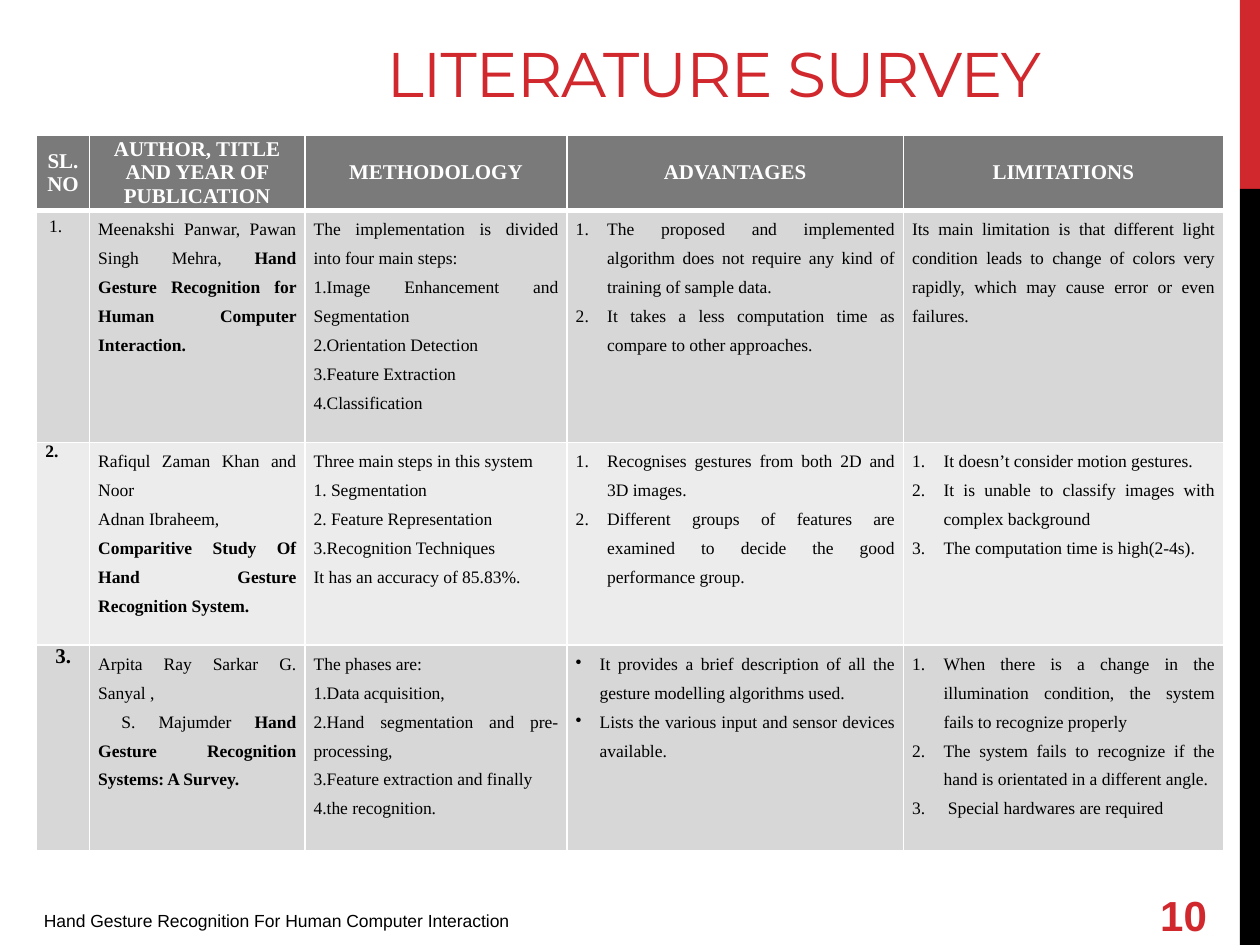
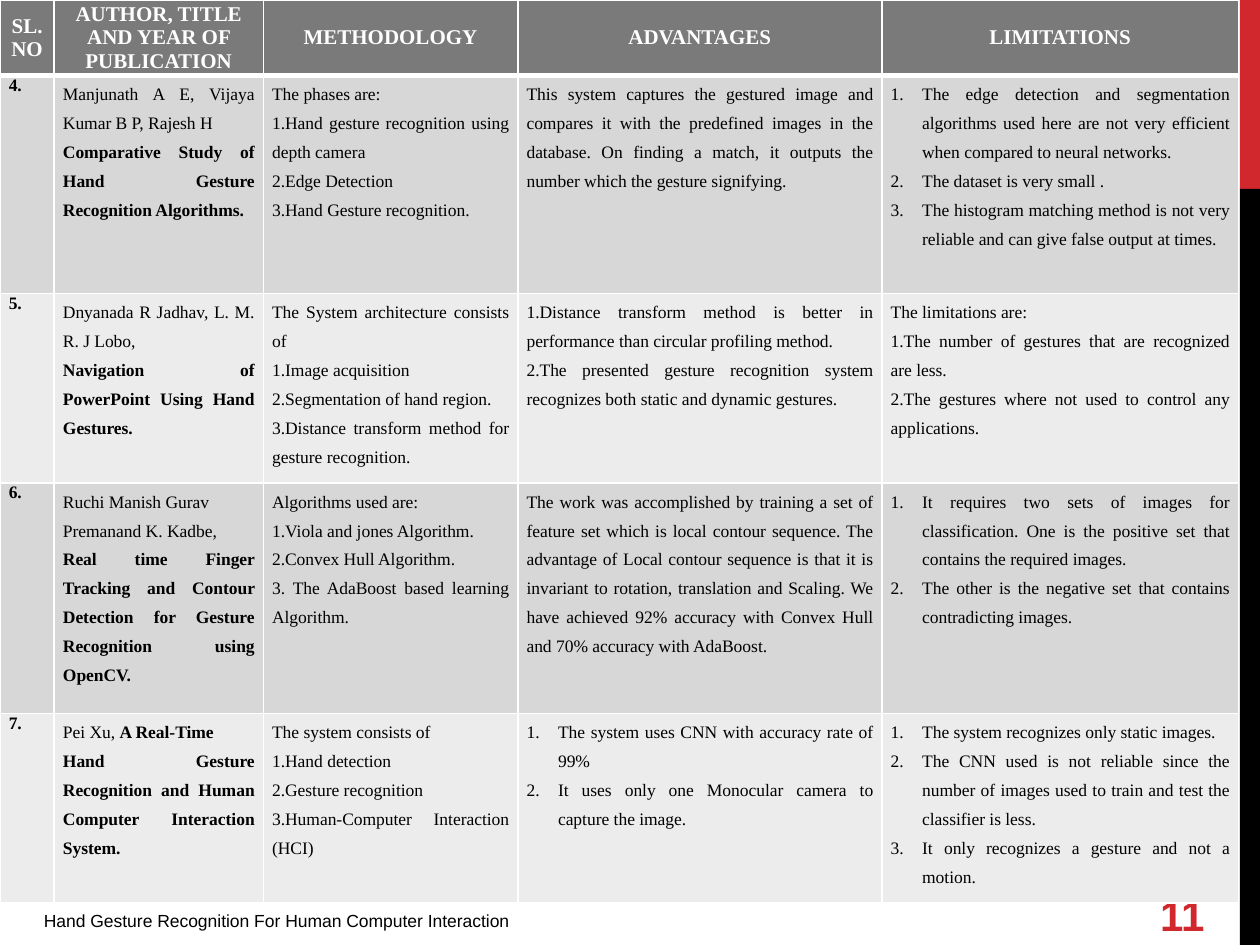
from dataclasses import dataclass

from lxml.etree import SubElement
from pptx import Presentation
from pptx.dml.color import RGBColor as Rgb
from pptx.enum.shapes import MSO_SHAPE as Shape
from pptx.enum.text import MSO_ANCHOR as Anchor, PP_ALIGN as Align
from pptx.oxml.ns import qn
from pptx.util import Inches, Pt


@dataclass(frozen=True)
class Theme:
    """Colours, fonts and type sizes shared by the slides."""
    red: str = "D1282E"
    black: str = "000000"
    white: str = "FFFFFF"
    heading_fill: str = "7A7A7A"
    row_fills: tuple = ("D7D7D7", "ECECEC")
    title_font: str = "Montserrat"
    table_font: str = "Times New Roman"
    footer_font: str = "Arial"
    title_size: int = 36
    page_size: int = 24
    heading_size: int = 12
    body_size: int = 10
    rule: int = 1
    heading_rule: int = 3


@dataclass(frozen=True)
class Box:
    """A region measured in columns and rows of the 1000 by 750 slide grid."""
    col: float
    row: float
    cols: float
    rows: float

    def inner(self, col, row, cols, rows):
        """Return a region placed relative to this one."""
        return Box(self.col + col, self.row + row, cols, rows)

    def emu(self):
        """Return left, top, width and height as slide lengths."""
        return [Inches(units / GRID) for units in (self.col, self.row, self.cols, self.rows)]


@dataclass(frozen=True)
class Points:
    """Lines of one cell with the kind of list marker they carry."""
    lines: tuple
    marker: str = ""


@dataclass(frozen=True)
class Study:
    """One surveyed paper; text after a bar in the author lines is bold."""
    number: str
    author: Points
    method: Points
    advantages: Points
    limits: Points


THEME = Theme()
GRID = 100
SLIDE = Box(0, 0, 1000, 750)
TOPIC = "Hand Gesture Recognition For Human Computer Interaction"
HEADINGS = ("SL.NO", "AUTHOR, TITLE AND YEAR OF PUBLICATION", "METHODOLOGY",
            "ADVANTAGES", "LIMITATIONS")
MARKERS = {
    "numbered": ("a:buAutoNum", {"type": "arabicPeriod"}, 0.25),
    "bulleted": ("a:buChar", {"char": "•"}, 0.19),
}
CELL_INSETS = {"margin_left": 0.07, "margin_right": 0.07, "margin_top": 0, "margin_bottom": 0}
FIRST_INSETS = {"margin_left": 0.1, "margin_right": 0.1, "margin_top": 0.05, "margin_bottom": 0.05}


def plain(*lines):
    """Return lines without markers."""
    return Points(lines)


def numbered(*lines):
    """Return lines with automatic numbers."""
    return Points(lines, "numbered")


def bulleted(*lines):
    """Return lines with round bullets."""
    return Points(lines, "bulleted")


FIRST_STUDIES = (
    Study("1.",
          plain("Meenakshi Panwar, Pawan Singh Mehra, |Hand Gesture Recognition for Human "
                "Computer Interaction."),
          plain("The implementation is divided into four main steps:",
                "1.Image Enhancement and Segmentation", "2.Orientation Detection",
                "3.Feature Extraction", "4.Classification"),
          numbered("The proposed and implemented algorithm does not require any kind of "
                   "training of sample data.",
                   "It takes a less computation time as compare to other approaches."),
          plain("Its main limitation is that different light condition leads to change of "
                "colors very rapidly, which may cause error or even failures.")),
    Study("2.",
          plain("Rafiqul Zaman Khan and Noor", "Adnan Ibraheem,",
                "|Comparitive Study Of Hand Gesture Recognition System."),
          plain("Three main steps in this system", "1. Segmentation",
                "2. Feature Representation", "3.Recognition Techniques",
                "It has an accuracy of 85.83%."),
          numbered("Recognises gestures from both 2D and 3D images.",
                   "Different groups of features are examined to decide the good "
                   "performance group."),
          numbered("It doesn’t consider motion gestures.",
                   "It is unable to classify images with complex background",
                   "The computation time is high(2-4s).")),
    Study("3.",
          plain("Arpita Ray Sarkar G. Sanyal ,",
                " S. Majumder |Hand Gesture Recognition Systems: A Survey."),
          plain("The phases are:", "1.Data acquisition,",
                "2.Hand segmentation and pre-processing,",
                "3.Feature extraction and finally", "4.the recognition."),
          bulleted("It provides a brief description of all the gesture modelling "
                   "algorithms used.",
                   "Lists the various input and sensor devices available."),
          numbered("When there is a change in the illumination condition, the system fails "
                   "to recognize properly",
                   "The system fails to recognize if the hand is orientated in a different "
                   "angle.",
                   " Special hardwares are required")),
)

LATER_STUDIES = (
    Study("4.",
          plain("Manjunath A E, Vijaya Kumar B P, Rajesh H",
                "|Comparative Study of Hand Gesture Recognition Algorithms."),
          plain("The phases are:", "1.Hand gesture recognition using depth camera",
                "2.Edge Detection", "3.Hand Gesture recognition."),
          plain("This system captures the gestured image and compares it with the predefined "
                "images in the database. On finding a match, it outputs the number which the "
                "gesture signifying."),
          numbered("The edge detection and segmentation algorithms used here are not very "
                   "efficient when compared to neural networks.",
                   "The dataset is very small .",
                   "The histogram matching method is not very reliable and can give false "
                   "output at times.")),
    Study("5.",
          plain("Dnyanada R Jadhav, L. M. R. J Lobo,",
                "|Navigation of PowerPoint Using Hand Gestures."),
          plain("The System architecture consists of", "1.Image acquisition",
                "2.Segmentation of hand region.",
                "3.Distance transform method for gesture recognition."),
          plain("1.Distance transform method is better in performance than circular "
                "profiling method.",
                "2.The presented gesture recognition system recognizes both static and "
                "dynamic gestures."),
          plain("The limitations are:",
                "1.The number of gestures that are recognized are less.",
                "2.The gestures where not used to control any applications.")),
    Study("6.",
          plain("Ruchi Manish Gurav", "Premanand K. Kadbe,",
                "|Real time Finger Tracking and Contour Detection for Gesture Recognition "
                "using OpenCV."),
          plain("Algorithms used are:", "1.Viola and jones Algorithm.",
                "2.Convex Hull Algorithm.", "3. The AdaBoost based learning Algorithm."),
          plain("The work was accomplished by training a set of feature set which is local "
                "contour sequence. The advantage of Local contour sequence is that it is "
                "invariant to rotation, translation and Scaling. We have achieved 92% "
                "accuracy with Convex Hull and 70% accuracy with AdaBoost."),
          numbered("It requires two sets of images for classification. One is the positive "
                   "set that contains the required images.",
                   "The other is the negative set that contains contradicting images.")),
    Study("7.",
          plain("Pei Xu, |A Real-Time",
                "|Hand Gesture Recognition and Human Computer Interaction System."),
          plain("The system consists of", "1.Hand detection", "2.Gesture recognition",
                "3.Human-Computer Interaction (HCI)"),
          numbered("The system uses CNN with accuracy rate of 99%",
                   "It uses only one Monocular camera to capture the image."),
          numbered("The system recognizes only static images.",
                   "The CNN used is not reliable since the number of images used to train "
                   "and test the classifier is less.",
                   "It only recognizes a gesture and not a motion.")),
)


def assign(target, formats):
    """Set every attribute named in a dict of format values."""
    for name, value in formats.items():
        setattr(target, name, value)


def write(paragraph, text, font, size, colour, bold=False):
    """Add a formatted run and return it."""
    run = paragraph.add_run()
    run.text = text
    assign(run.font, {"name": font, "size": Pt(size), "bold": bold})
    run.font.color.rgb = Rgb.from_string(colour)
    return run


def text_region(slide, box, anchor):
    """Add a wrapping text box and return its first paragraph."""
    frame = slide.shapes.add_textbox(*box.emu()).text_frame
    assign(frame, {"word_wrap": True, "vertical_anchor": anchor})
    return frame.paragraphs[0]


def draw_edge(slide, box):
    """Draw the red and black band, split at one fifth of its height."""
    split = box.rows / 5
    for top, rows, colour in ((0, split, THEME.red), (split, box.rows - split, THEME.black)):
        band = slide.shapes.add_shape(Shape.RECTANGLE, *box.inner(0, top, box.cols, rows).emu())
        band.shadow.inherit = False
        band.fill.solid()
        band.fill.fore_color.rgb = Rgb.from_string(colour)
        band.line.fill.background()


def draw_footer(slide, box, page):
    """Write the topic and the page number."""
    topic = text_region(slide, box.inner(0, 11, 860, 16), Anchor.TOP)
    write(topic, TOPIC, THEME.footer_font, THEME.body_size, THEME.black)
    number = text_region(slide, box.inner(886, 0, box.cols - 886, box.rows), Anchor.MIDDLE)
    write(number, str(page), THEME.footer_font, THEME.page_size, THEME.red, bold=True)


def draw_title(slide, box, title):
    """Write the slide title."""
    heading = text_region(slide, box, Anchor.BOTTOM)
    heading.alignment = Align.CENTER
    run = write(heading, title, THEME.title_font, THEME.title_size, THEME.red)
    run._r.get_or_add_rPr().set("spc", "-60")


def finish_cell(cell, fill, top, bottom):
    """Give a cell its borders, fill and insets."""
    properties = cell._tc.get_or_add_tcPr()
    for side, width in (("L", THEME.rule), ("R", THEME.rule), ("T", top), ("B", bottom)):
        border = SubElement(properties, qn(f"a:ln{side}"), w=str(Pt(width)))
        paint = SubElement(border, qn("a:solidFill"))
        SubElement(paint, qn("a:srgbClr"), val=THEME.white)
    cell.fill.solid()
    cell.fill.fore_color.rgb = Rgb.from_string(fill)
    assign(cell, {side: Inches(inset) for side, inset in CELL_INSETS.items()})


def indent(paragraph, left, first):
    """Set the left margin and first-line indent of a paragraph."""
    properties = paragraph._p.get_or_add_pPr()
    properties.set("marL", str(Inches(left)))
    properties.set("indent", str(Inches(first)))
    return properties


def fill_points(cell, points):
    """Write justified lines with their list markers."""
    for index, line in enumerate(points.lines):
        frame = cell.text_frame
        paragraph = frame.add_paragraph() if index else frame.paragraphs[0]
        if points.marker:
            tag, settings, hang = MARKERS[points.marker]
            SubElement(indent(paragraph, hang, -hang), qn(tag), settings)
        assign(paragraph, {"alignment": Align.JUSTIFY, "line_spacing": 1.5})
        regular, _, strong = line.partition("|")
        for text, bold in ((regular, False), (strong, True)):
            if text:
                write(paragraph, text, THEME.table_font, THEME.body_size, THEME.black, bold)


def fill_number(cell, number):
    """Write a study number; the first and third have their own style."""
    paragraph = cell.text_frame.paragraphs[0]
    if number == "1.":
        assign(cell, {side: Inches(inset) for side, inset in FIRST_INSETS.items()})
    if number == "3.":
        indent(paragraph, 0.08, 0)
    size = THEME.heading_size if number == "3." else THEME.body_size
    write(paragraph, number, THEME.table_font, size, THEME.black, bold=number != "1.")


def draw_survey(slide, box, columns, rows, studies):
    """Draw the survey table with the given column and row units."""
    table = slide.shapes.add_table(len(rows), len(columns), *box.emu()).table
    for column, units in zip(table.columns, columns):
        column.width = Inches(units / GRID)
    for row, units in zip(table.rows, rows):
        row.height = Inches(units / GRID)
    for cell, heading in zip(table.rows[0].cells, HEADINGS):
        finish_cell(cell, THEME.heading_fill, THEME.rule, THEME.heading_rule)
        cell.vertical_anchor = Anchor.MIDDLE
        paragraph = cell.text_frame.paragraphs[0]
        paragraph.alignment = Align.CENTER
        write(paragraph, heading, THEME.table_font, THEME.heading_size, THEME.white, bold=True)
    for index, study in enumerate(studies):
        cells = list(table.rows[index + 1].cells)
        for cell in cells:
            finish_cell(cell, THEME.row_fills[index % 2],
                        THEME.rule if index else THEME.heading_rule, THEME.rule)
        fill_number(cells[0], study.number)
        for cell, points in zip(cells[1:], (study.author, study.method,
                                            study.advantages, study.limits)):
            fill_points(cell, points)


def survey_slide(deck, page, corner, columns, rows, studies, title=""):
    """Build one survey slide with its band, footer, title and table."""
    slide = deck.slides.add_slide(deck.slide_layouts[6])
    draw_edge(slide, SLIDE.inner(984, 0, 16, SLIDE.rows))
    draw_footer(slide, SLIDE.inner(25, 706, 959, 40), page)
    if title:
        draw_title(slide, SLIDE.inner(183, 17, 767, 75), title)
    draw_survey(slide, SLIDE.inner(*corner, sum(columns), sum(rows)), columns, rows, studies)


def main():
    """Build and save the deck."""
    deck = Presentation()
    _, _, width, height = SLIDE.emu()
    assign(deck, {"slide_width": width, "slide_height": height})
    survey_slide(deck, 10, (29, 107), (42, 171, 208, 267, 254), (58, 184, 161, 163),
                 FIRST_STUDIES, "LITERATURE SURVEY")
    survey_slide(deck, 11, (0, 0), (43, 166, 202, 289, 283), (58, 173, 150, 183, 138),
                 LATER_STUDIES)
    deck.save("out.pptx")


if __name__ == "__main__":
    main()
